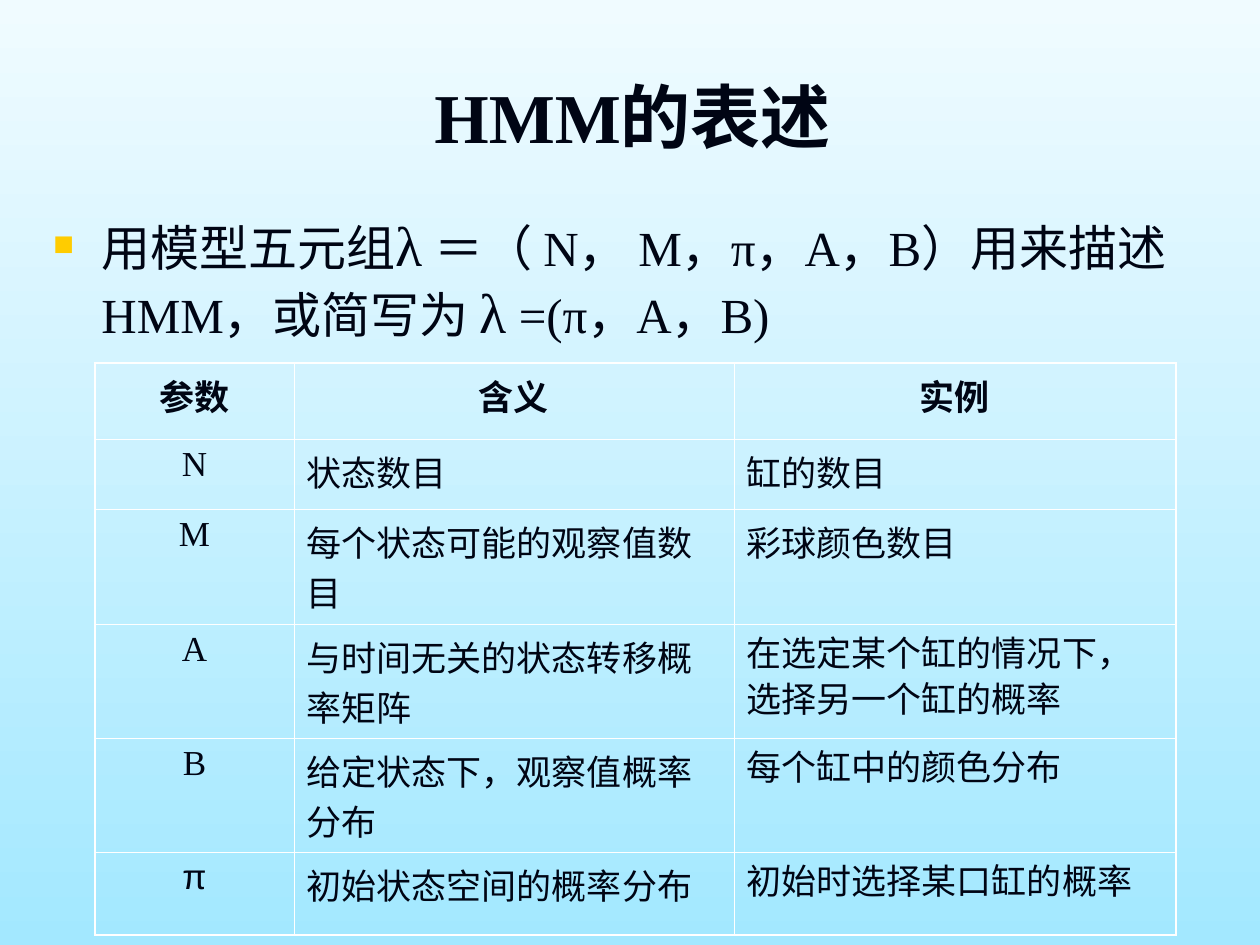
import dataclasses

import pptx
import pptx.dml.color
import pptx.enum.lang
import pptx.enum.text
import pptx.oxml
import pptx.oxml.ns
import pptx.util

EMU_PER_PX = 914400 / 126
ALIGN = pptx.enum.text.PP_ALIGN


@dataclasses.dataclass(frozen=True)
class Theme:
    """Colours, fonts and point sizes of the slide."""
    sky_top: str = "F0FBFF"
    sky_bottom: str = "A3E8FF"
    ink: str = "000514"
    bullet: str = "FFCC00"
    rule: str = "FFFFFF"
    serif: str = "Times New Roman"
    sans: str = "Arial"
    title: int = 40
    body: int = 28
    symbol: int = 32
    cell: int = 20
    outer_rule: float = 1.08
    inner_rule: float = 0.45


THEME = Theme()


def px(n):
    """Turn px into EMU."""
    return pptx.util.Emu(round(n * EMU_PER_PX))


def rgb(code):
    """Turn a hex code into a colour."""
    return pptx.dml.color.RGBColor.from_string(code)


def element(xml):
    """Parse one DrawingML element."""
    return pptx.oxml.parse_xml(xml.replace(" ", f' {pptx.oxml.ns.nsdecls("a")} ', 1))


def set_background(s):
    """Fill the slide with a gradient from top to bottom."""
    fill = s.background.fill
    fill.gradient()
    fill.gradient_angle = 270
    for stop, code in zip(fill.gradient_stops, (THEME.sky_top, THEME.sky_bottom)):
        stop.color.rgb = rgb(code)


def add_run(p, text, size, bold=False, font=THEME.serif):
    """Append a run to a paragraph."""
    r = p.add_run()
    r.text = text
    r.font.name, r.font.size, r.font.bold = font, pptx.util.Pt(size), bold
    r.font.color.rgb = rgb(THEME.ink)
    r.font.language_id = pptx.enum.lang.MSO_LANGUAGE_ID.SIMPLIFIED_CHINESE


def add_text(s, box, runs, bold=False, align=ALIGN.LEFT, anchor="TOP"):
    """Add a wrapped text box and return its paragraph."""
    tf = s.shapes.add_textbox(*map(px, box)).text_frame
    tf.word_wrap = True
    tf.vertical_anchor = pptx.enum.text.MSO_ANCHOR[anchor]
    p = tf.paragraphs[0]
    p.alignment = align
    for text, size in runs:
        add_run(p, text, size, bold)
    return p


def set_bullet(p, indent):
    """Give a paragraph a square bullet and a hanging indent."""
    p.space_before = pptx.util.Pt(7)
    pPr = p._p.get_or_add_pPr()
    pPr.set("marL", str(px(indent)))
    pPr.set("indent", str(-px(indent)))
    for xml in (f'<a:buClr ><a:srgbClr val="{THEME.bullet}"/></a:buClr>',
                '<a:buSzPct val="70000"/>',
                f'<a:buFont typeface="{THEME.sans}"/>',
                '<a:buChar char="■"/>'):
        pPr.append(element(xml))


def set_borders(cell, outer):
    """Rule the four sides of a cell, wider along the table's edge."""
    tcPr = cell._tc.get_or_add_tcPr()
    for i, side in enumerate("LRTB"):
        width = pptx.util.Pt(THEME.outer_rule if side in outer else THEME.inner_rule)
        tcPr.insert(i, element(
            f'<a:ln{side} w="{width}"><a:solidFill><a:srgbClr val="{THEME.rule}"/>'
            f'</a:solidFill></a:ln{side}>'))


def add_table(s, left, top, widths, heights, rows):
    """Add the ruled parameter table with a bold heading row."""
    table = s.shapes.add_table(len(rows), len(widths), px(left), px(top),
                               px(sum(widths)), px(sum(heights))).table
    table.first_row = table.horz_banding = False
    for col, width in zip(table.columns, widths):
        col.width = px(width)
    last_row, last_col = len(rows) - 1, len(widths) - 1
    for i, (height, texts) in enumerate(zip(heights, rows)):
        table.rows[i].height = px(height)
        for j, text in enumerate(texts):
            cell = table.cell(i, j)
            cell.fill.background()
            edges = {"T": i == 0, "B": i == last_row, "L": j == 0, "R": j == last_col}
            set_borders(cell, [side for side, on in edges.items() if on])
            p = cell.text_frame.paragraphs[0]
            p.alignment = ALIGN.CENTER if i == 0 or j == 0 else ALIGN.LEFT
            p.space_before = pptx.util.Pt(5)
            if j == last_col and i >= 3:
                p.line_spacing = 0.9
            font = THEME.sans if text == "π" else THEME.serif
            add_run(p, text, THEME.cell, i == 0, font)


def main():
    """Build the slide and save it."""
    prs = pptx.Presentation()
    prs.slide_width, prs.slide_height = px(1260), px(945)
    s = prs.slides.add_slide(prs.slide_layouts[6])
    set_background(s)
    add_text(s, (44, 65, 1177, 101), [("HMM的表述", THEME.title)],
             True, ALIGN.CENTER, "MIDDLE")
    p = add_text(s, (41, 204, 1177, 604), [
        ("用模型五元组", THEME.body),
        ("λ", THEME.symbol),
        (" ＝（ N， M，π，A，B）用来描述HMM，或简写为 ", THEME.body),
        ("λ", THEME.symbol),
        (" =(π，A，B)", THEME.body),
    ])
    set_bullet(p, 48)
    add_table(s, 95, 363, (199, 440, 442), (76, 70, 115, 114, 114, 83), [
        ("参数", "含义", "实例"),
        ("N", "状态数目", "缸的数目"),
        ("M", "每个状态可能的观察值数目", "彩球颜色数目"),
        ("A", "与时间无关的状态转移概率矩阵", "在选定某个缸的情况下，选择另一个缸的概率"),
        ("B", "给定状态下，观察值概率分布", "每个缸中的颜色分布"),
        ("π", "初始状态空间的概率分布", "初始时选择某口缸的概率"),
    ])
    prs.save("out.pptx")


if __name__ == "__main__":
    main()
